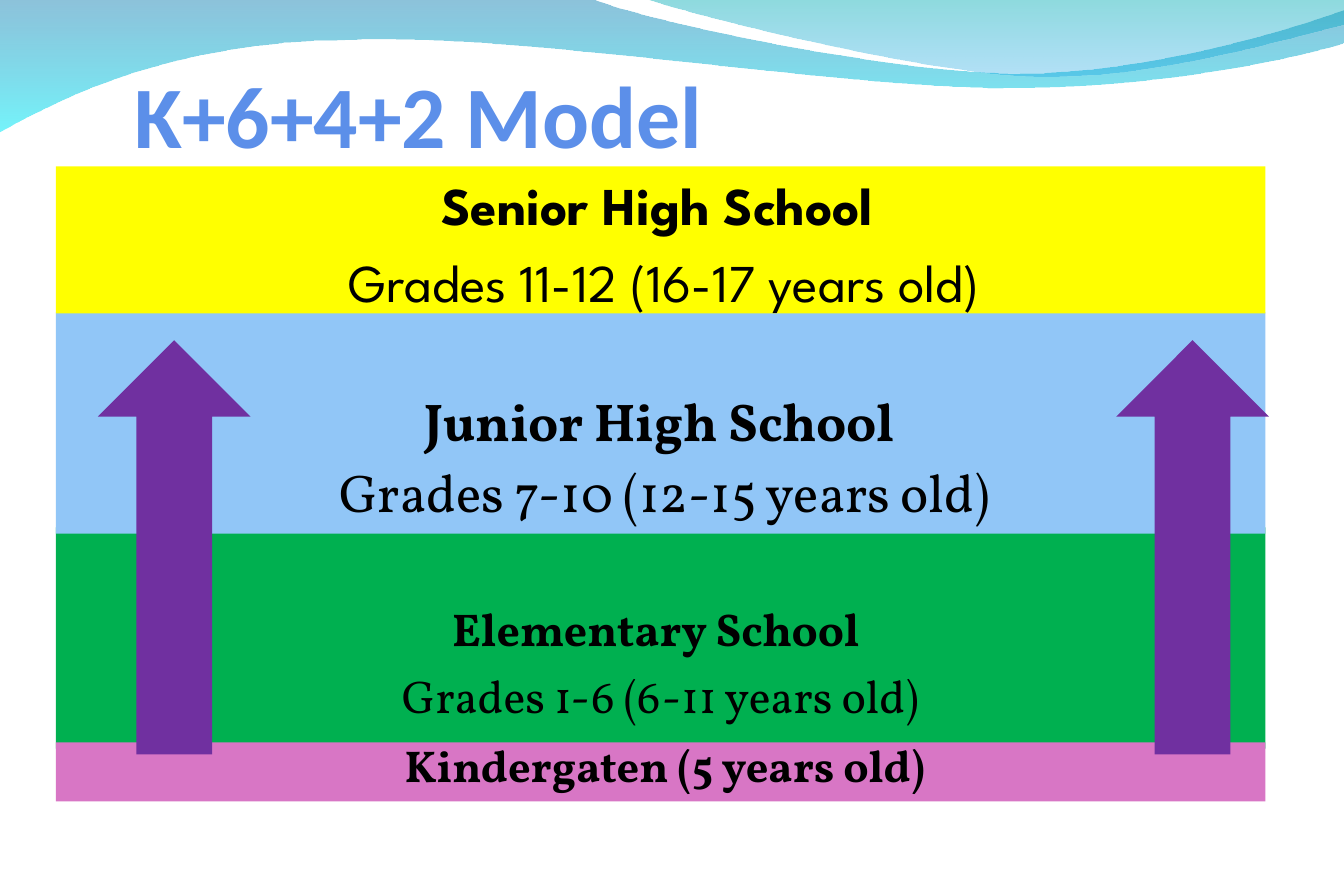
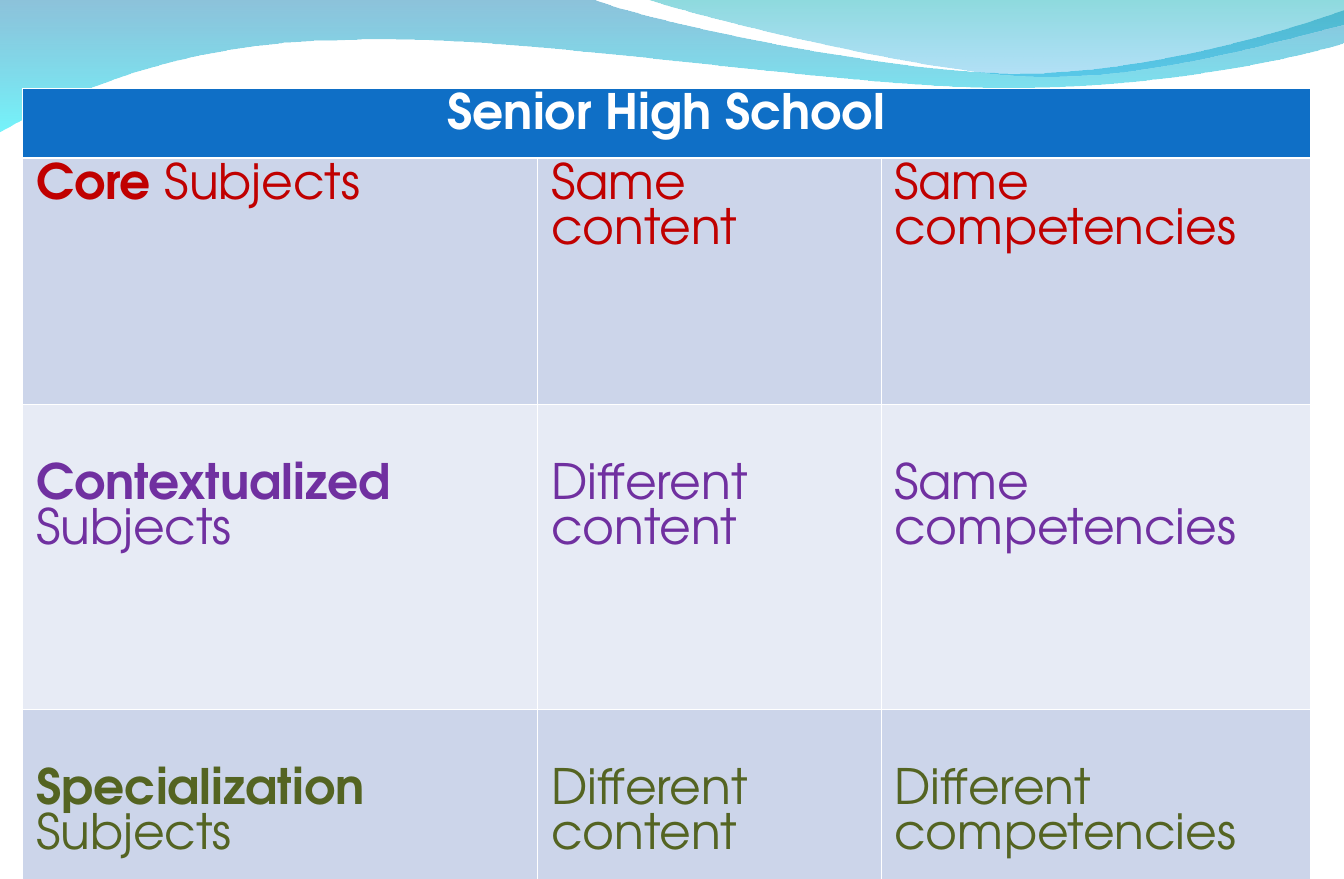
from lxml.etree import SubElement
from pptx import Presentation
from pptx.dml.color import RGBColor
from pptx.enum.shapes import MSO_SHAPE
from pptx.enum.text import MSO_ANCHOR, PP_ALIGN
from pptx.oxml.ns import qn
from pptx.util import Pt

PX = 9144  # 100 px to the inch

BLACK = RGBColor(0x00, 0x00, 0x00)
WHITE = RGBColor(0xFF, 0xFF, 0xFF)
TITLE_BLUE = RGBColor(0x5C, 0x8F, 0xE9)
YELLOW = RGBColor(0xFF, 0xFF, 0x00)
SKY = RGBColor(0x91, 0xC6, 0xF7)
GREEN = RGBColor(0x00, 0xB0, 0x50)
PINK = RGBColor(0xD8, 0x76, 0xC5)
PURPLE = RGBColor(0x70, 0x30, 0xA0)
RED = RGBColor(0xC0, 0x00, 0x00)
OLIVE = RGBColor(0x54, 0x64, 0x22)
HEADER_BLUE = RGBColor(0x0F, 0x6F, 0xC6)
ROW_DARK = RGBColor(0xCC, 0xD5, 0xEA)
ROW_LIGHT = RGBColor(0xE7, 0xEB, 0xF5)

TITLE_FONT, BODY_FONT = "Calibri", "Vollkorn"
SPARTAN, ADVENTOR = "League Spartan", "TeX Gyre Adventor"

# Waves: a start point, then lines (one point) and curves (three points);
# gradient stops are colour and opacity in percent
WAVES = [
    ((0, -1),
     [[(572, -1)],
      [(618, 19), (863, 71), (986, 71)],
      [(1109, 71), (1246, 29), (1300, 10)],
      [(1301, 41)],
      [(1278, 50), (1131, 86), (970, 85)],
      [(808, 85), (496, 31), (334, 39)],
      [(168, 40), (60, 94), (-1, 128)],
      [(0, -1)]],
     [(RGBColor(0x00, 0x79, 0xAF), 45), (RGBColor(0x00, 0xEB, 0xF8), 55)]),
    ((623, -1),
     [[(662, 13), (887, 70), (999, 74)],
      [(1112, 78), (1250, 36), (1300, 24)],
      [(1300, 0)],
      [(623, -1)]],
     [(RGBColor(0x00, 0xAD, 0xB6), 45), (RGBColor(0x00, 0x9B, 0xE5), 30)]),
]


def add_waves(slide):
    for start, segments, stops in WAVES:
        points = [(x * PX, y * PX) for segment in segments for x, y in segment]
        builder = slide.shapes.build_freeform(start[0] * PX, start[1] * PX)
        builder.add_line_segments(points)
        wave = builder.convert_to_shape()
        # Turn each run of three points into one Bézier curve
        lines = wave.element.spPr.findall(".//" + qn("a:lnTo"))
        for segment in segments:
            pieces, lines = lines[:len(segment)], lines[len(segment):]
            if len(pieces) == 3:
                pieces[0].tag = qn("a:cubicBezTo")
                for piece in pieces[1:]:
                    pieces[0].append(piece[0])
                    piece.getparent().remove(piece)
        wave.shadow.inherit = False
        wave.line.fill.background()
        wave.fill.gradient()
        wave.fill.gradient_angle = 270
        for stop, (color, opacity) in zip(wave.fill.gradient_stops, stops):
            stop.color.rgb = color
        for node, (color, opacity) in zip(wave.element.spPr.iter(qn("a:srgbClr")), stops):
            SubElement(node, qn("a:alpha"), val=str(opacity * 1000))


def add_run(paragraph, text, font, size, color, bold=False):
    run = paragraph.add_run()
    run.text = text
    run.font.name = font
    run.font.size = Pt(size)
    run.font.bold = bold
    run.font.color.rgb = color


presentation = Presentation()
presentation.slide_width = 1300 * PX
presentation.slide_height = 850 * PX
blank = presentation.slide_layouts[6]

# Slide 1: school levels
slide = presentation.slides.add_slide(blank)
add_waves(slide)

title = slide.shapes.add_textbox(65 * PX, 38 * PX, 1170 * PX, 123 * PX)
frame = title.text_frame
frame.word_wrap = True
frame.vertical_anchor = MSO_ANCHOR.BOTTOM
frame.margin_left, frame.margin_right, frame.margin_bottom = 65 * PX, 0, 0
frame.margin_top = 6 * PX
add_run(frame.paragraphs[0], "K+6+4+2 Model", TITLE_FONT, 61, TITLE_BLUE, True)

# Level bands: top, height, fill, top inset, indent, font, size,
# line spacing, space before, lines (the first is bold)
LEVELS = [
    (510, 214, GREEN, 71, 0, BODY_FONT, 32, 1.0, 8,
     ["Elementary School ", "Grades 1-6 (6-11 years old)"]),
    (302, 214, SKY, 81, 8, BODY_FONT, 37, 0.9, 9.2,
     ["Junior High School ", "Grades 7-10 (12-15 years old)"]),
    (161, 142, YELLOW, 6, 7, SPARTAN, 37, 1.0, 9.2,
     ["Senior High School ", "Grades 11-12 (16-17 years old)"]),
    (718, 57, PINK, 6, 8, BODY_FONT, 31, 0.8, 7.7,
     ["Kindergaten (5 years old)"]),
]
for top, height, fill, inset, indent, font, size, spacing, before, lines in LEVELS:
    band = slide.shapes.add_shape(MSO_SHAPE.RECTANGLE, 54 * PX, top * PX, 1170 * PX, height * PX)
    band.shadow.inherit = False
    band.fill.solid()
    band.fill.fore_color.rgb = fill
    band.line.fill.background()
    frame = band.text_frame
    frame.word_wrap = True
    frame.vertical_anchor = MSO_ANCHOR.TOP
    frame.margin_left = frame.margin_right = 12 * PX
    frame.margin_top, frame.margin_bottom = inset * PX, 6 * PX
    for index, line in enumerate(lines):
        paragraph = frame.add_paragraph() if index else frame.paragraphs[0]
        paragraph.alignment = PP_ALIGN.CENTER
        paragraph.line_spacing = spacing
        paragraph.space_before = Pt(before)
        paragraph._p.get_or_add_pPr().set("marL", str(indent * PX))
        add_run(paragraph, line, font, size, BLACK, index == 0)

# Arrows pointing up the levels, with sharp corners
for left in (955, -30):
    arrow = slide.shapes.add_shape(MSO_SHAPE.RIGHT_ARROW, left * PX, 459 * PX, 397 * PX, 141 * PX)
    arrow.rotation = 270
    arrow.shadow.inherit = False
    arrow.fill.solid()
    arrow.fill.fore_color.rgb = PURPLE
    arrow.line.color.rgb = PURPLE
    arrow.line.width = Pt(2)
    SubElement(arrow.element.spPr.find(qn("a:ln")), qn("a:miter"), lim="800000")

# Slide 2: senior high school subjects
slide = presentation.slides.add_slide(blank)
add_waves(slide)

COLUMN_WIDTHS = [498, 332, 415]
ROW_HEIGHTS = [68, 238, 295, 351]
# Rows: text colour, fill, top inset, cells of paragraphs of (text, bold) runs
ROWS = [
    (WHITE, HEADER_BLUE, 5, [[[("Senior High School", True)]], [], []]),
    (RED, ROW_DARK, 5,
     [[[("Core", True), (" Subjects", False)]],
      [[("Same", False)], [("content", False)]],
      [[("Same", False)], [("competencies", False)]]]),
    (PURPLE, ROW_LIGHT, 57,
     [[[("Contextualized", True)], [("Subjects", False)]],
      [[("Different", False)], [("content", False)]],
      [[("Same", False)], [("competencies", False)]]]),
    (OLIVE, ROW_DARK, 57,
     [[[("Specialization", True)], [("Subjects", False)]],
      [[("Different", False)], [("content", False)]],
      [[("Different", False)], [("competencies", False)]]]),
]
table = slide.shapes.add_table(
    len(ROWS), len(COLUMN_WIDTHS), 22 * PX, 85 * PX,
    sum(COLUMN_WIDTHS) * PX, sum(ROW_HEIGHTS) * PX).table
table.horz_banding = False
for column, width in zip(table.columns, COLUMN_WIDTHS):
    column.width = width * PX
for row, height in zip(table.rows, ROW_HEIGHTS):
    row.height = height * PX
table.cell(0, 0).merge(table.cell(0, 2))

for row_index, (color, fill, inset, cells) in enumerate(ROWS):
    for column_index, paragraphs in enumerate(cells):
        cell = table.cell(row_index, column_index)
        cell.margin_left = cell.margin_right = 13 * PX
        cell.margin_top, cell.margin_bottom = inset * PX, 5 * PX
        # White borders, thicker under the header
        properties = cell._tc.get_or_add_tcPr()
        for side in ("lnL", "lnR", "lnT", "lnB"):
            under_header = (row_index, side) in ((0, "lnB"), (1, "lnT"))
            border = SubElement(properties, qn("a:" + side), w=str(Pt(1.47 if under_header else 0.45)))
            SubElement(SubElement(border, qn("a:solidFill")), qn("a:srgbClr"), val=str(WHITE))
        cell.fill.solid()
        cell.fill.fore_color.rgb = fill
        for index, runs in enumerate(paragraphs):
            frame = cell.text_frame
            paragraph = frame.add_paragraph() if index else frame.paragraphs[0]
            paragraph.alignment = PP_ALIGN.LEFT if row_index else PP_ALIGN.CENTER
            for text, bold in runs:
                add_run(paragraph, text, ADVENTOR, 34, color, bold)

presentation.save("out.pptx")
